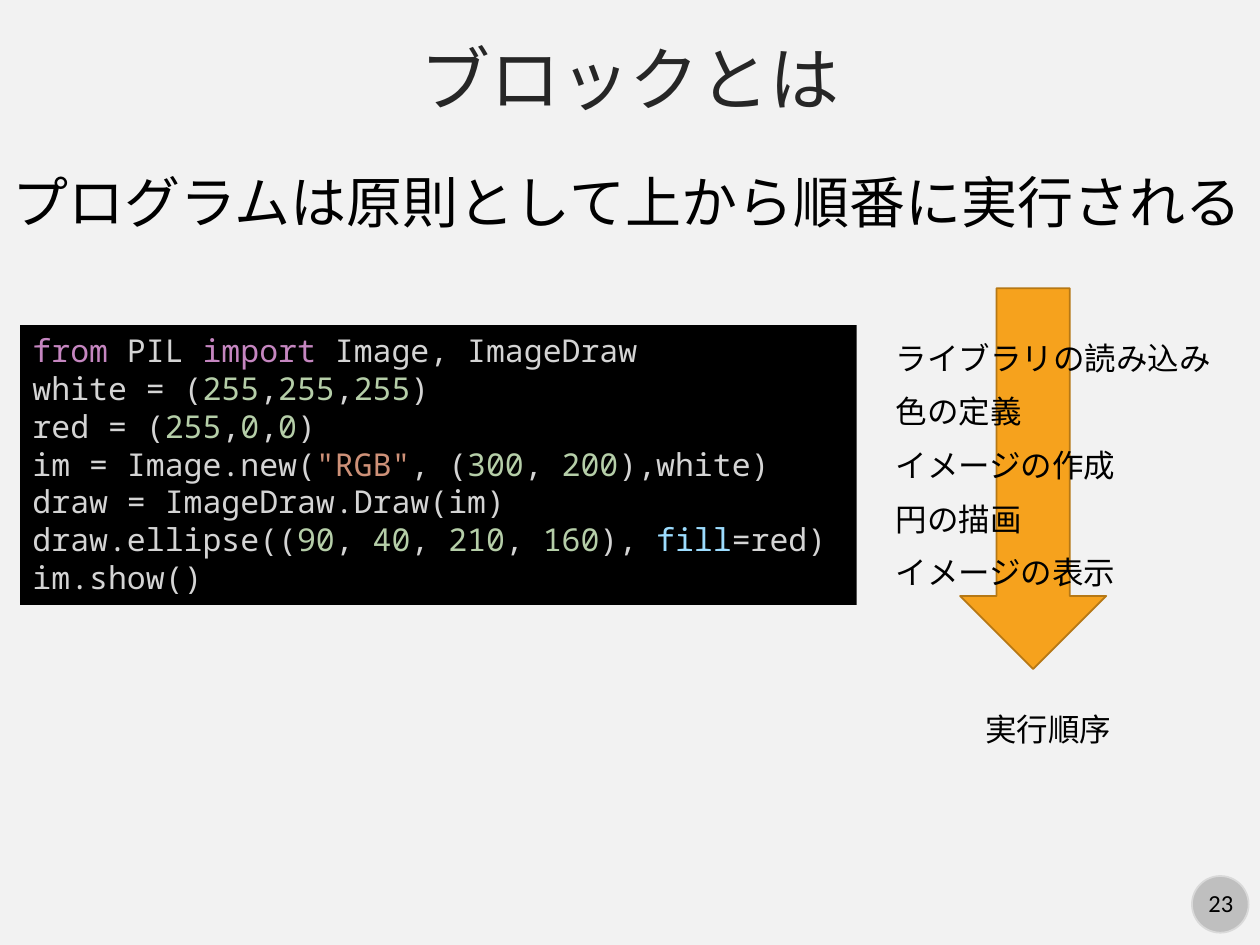
from pptx import Presentation
from pptx.dml.color import RGBColor
from pptx.enum.shapes import MSO_SHAPE
from pptx.enum.text import MSO_ANCHOR, PP_ALIGN
from pptx.util import Inches, Pt

WIDTH, HEIGHT = 10, 7.5

CODE_LINES = [
    "from| PIL |import| Image, ImageDraw",
    "white = (|255|,|255|,|255|)",
    "red = (|255|,|0|,|0|)",
    'im = Image.new(|"RGB"|, (|300|, |200|),white)',
    "draw = ImageDraw.Draw(im)",
    "draw.ellipse((|90|, |40|, |210|, |160|), |fill|=red)",
    "im.show()",
]
STEPS = ["ライブラリの読み込み", "色の定義", "イメージの作成", "円の描画", "イメージの表示"]


def color(value):
    """Turn a hex string into a colour."""
    return RGBColor.from_string(value)


def token_color(token):
    """Choose the syntax colour of one code token."""
    if token.isdigit():
        return "B5CEA8"
    if token.startswith('"'):
        return "CE9178"
    return {"from": "C586C0", "import": "C586C0", "fill": "9CDCFE"}.get(token, "D4D4D4")


def add_text(paragraph, text, size=18, font="Calibri", fill="000000"):
    """Append a formatted run to a paragraph."""
    run = paragraph.add_run()
    run.text = text
    run.font.size = Pt(size)
    run.font.name = font
    run.font.color.rgb = color(fill)


class SlideBuilder:
    """Hold the style and the slide, and place elements by shares of its size."""

    def __init__(self, presentation, background="F2F2F2"):
        """Add a blank slide with a plain background."""
        self.slide = presentation.slides.add_slide(presentation.slide_layouts[6])
        self.slide.background.fill.solid()
        self.slide.background.fill.fore_color.rgb = color(background)

    def place(self, left, top, width, height):
        """Convert shares of the slide's size to lengths."""
        return (Inches(left * WIDTH), Inches(top * HEIGHT),
                Inches(width * WIDTH), Inches(height * HEIGHT))

    def shape(self, kind, box, fill, line=None):
        """Add a filled preset shape."""
        shape = self.slide.shapes.add_shape(kind, *self.place(*box))
        shape.shadow.inherit = False
        shape.fill.solid()
        shape.fill.fore_color.rgb = color(fill)
        if line:
            shape.line.color.rgb = color(line)
            shape.line.width = Pt(1)
        else:
            shape.line.fill.background()
        return shape

    def text(self, text, box, align=PP_ALIGN.LEFT, anchor=MSO_ANCHOR.TOP, wrap=False, **style):
        """Add a one-paragraph text box."""
        frame = self.slide.shapes.add_textbox(*self.place(*box)).text_frame
        frame.word_wrap = wrap
        frame.vertical_anchor = anchor
        paragraph = frame.paragraphs[0]
        paragraph.alignment = align
        add_text(paragraph, text, **style)

    def code(self, lines, box):
        """Add a dark panel of highlighted code."""
        frame = self.shape(MSO_SHAPE.RECTANGLE, box, "000000").text_frame
        frame.word_wrap = True
        frame.vertical_anchor = MSO_ANCHOR.TOP
        for index, line in enumerate(lines):
            paragraph = frame.add_paragraph() if index else frame.paragraphs[0]
            paragraph.alignment = PP_ALIGN.LEFT
            for token in line.split("|"):
                add_text(paragraph, token, font="Noto Sans Mono", fill=token_color(token))


def main():
    """Build and save the slide."""
    presentation = Presentation()
    presentation.slide_width, presentation.slide_height = Inches(WIDTH), Inches(HEIGHT)
    builder = SlideBuilder(presentation)

    builder.shape(MSO_SHAPE.OVAL, (0.946, 0.927, 0.045, 0.06), "BFBFBF", "D9D9D9")
    builder.text("23", (0.947, 0.933, 0.044, 0.045), align=PP_ALIGN.CENTER, size=14)
    builder.shape(MSO_SHAPE.DOWN_ARROW, (0.762, 0.305, 0.116, 0.403), "F6A21D", "B67815")
    builder.text("ブロックとは", (0, 0.028, 1, 0.109), align=PP_ALIGN.CENTER,
                 anchor=MSO_ANCHOR.MIDDLE, wrap=True, size=40, fill="262626")
    builder.text("プログラムは原則として上から順番に実行される", (0, 0.171, 1, 0.085),
                 wrap=True, size=32)
    builder.code(CODE_LINES, (0.016, 0.344, 0.664, 0.296))

    for row, step in enumerate(STEPS):
        width = 0.021 + 0.025 * len(step)
        builder.text(step, (0.701, 0.352 + row * 0.0567, width, 0.053))
    builder.text("実行順序", (0.772, 0.745, 0.121, 0.053))

    presentation.save("out.pptx")


if __name__ == "__main__":
    main()
